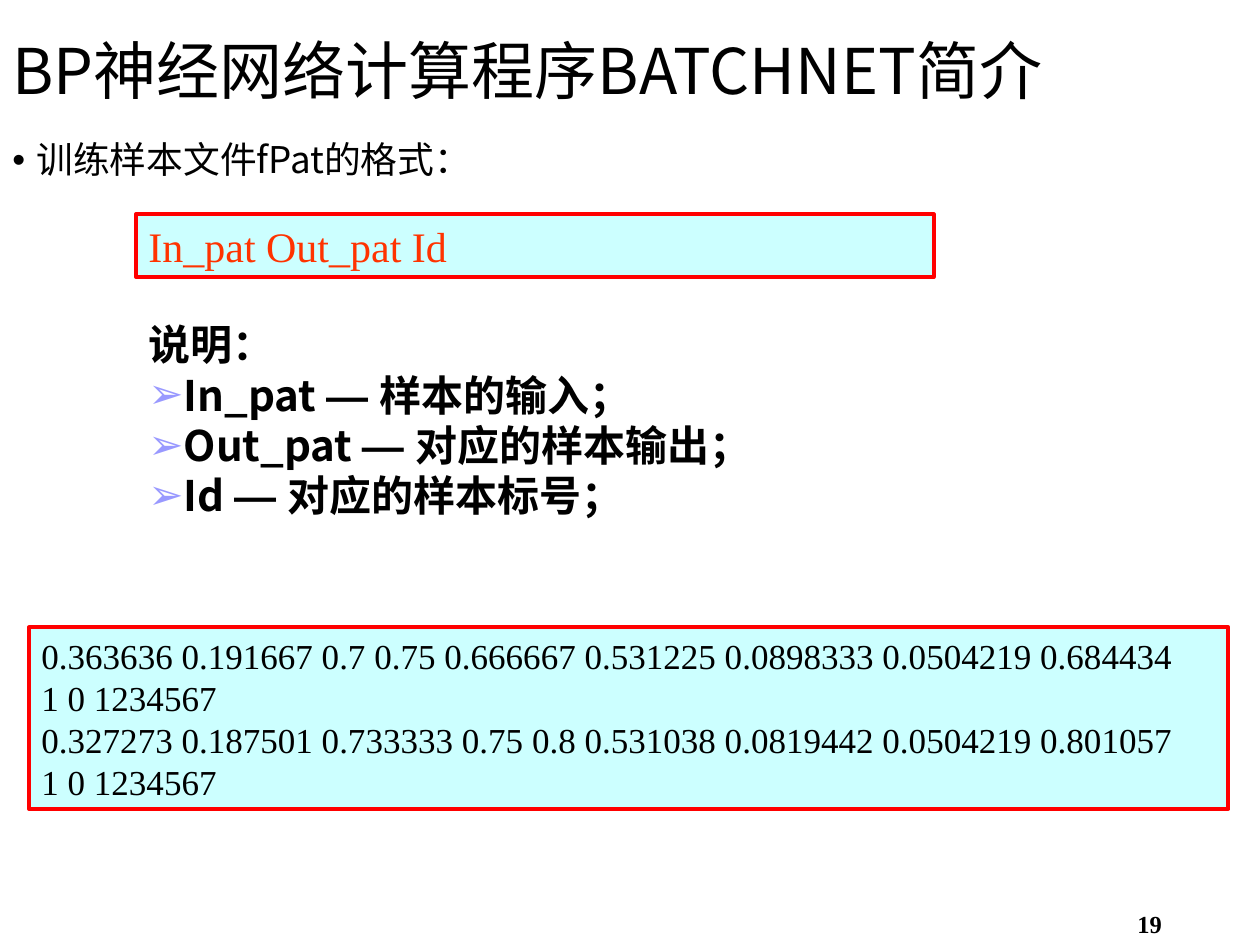
"""Build the slide on the training sample file format of BATCHNET."""
from dataclasses import dataclass

from lxml import etree
from pptx import Presentation
from pptx import util as u
from pptx.dml.color import RGBColor
from pptx.enum import shapes, text
from pptx.oxml.ns import qn


@dataclass(frozen=True)
class Theme:
    """Hold the colours, fonts and type sizes."""
    ink: str = "000000"
    panel: str = "CCFFFF"
    border: str = "FF0000"
    accent: str = "FF3300"
    arrow: str = "9999FF"
    sans: str = "Noto Sans CJK SC"
    serif: str = "Times New Roman"
    dash: str = "Arial"
    title: int = 36
    lead: int = 21
    body: int = 24
    data: int = 20
    number: int = 14


THEME = Theme()
WIDTH, HEIGHT = u.Inches(10), u.Inches(7.5)
COLUMNS, ROWS = 100, 75
FORMAT = "In_pat Out_pat Id"
TERMS = {
    "In_pat": "样本的输入；",
    "Out_pat": "对应的样本输出；",
    "Id": "对应的样本标号；",
}
SAMPLES = [
    "0.363636 0.191667 0.7 0.75 0.666667 0.531225 0.0898333 0.0504219 0.684434",
    "1 0 1234567",
    "0.327273 0.187501 0.733333 0.75 0.8 0.531038 0.0819442 0.0504219 0.801057",
    "1 0 1234567",
]


def place(left, top, width, height):
    """Turn grid columns and rows into slide lengths."""
    column, row = WIDTH / COLUMNS, HEIGHT / ROWS
    return [round(n) for n in (left * column, top * row, width * column, height * row)]


def add_bullet(paragraph, mark, color):
    """Give a paragraph a coloured bullet."""
    properties = paragraph._p.get_or_add_pPr()
    tint = etree.SubElement(properties, qn("a:buClr"))
    etree.SubElement(tint, qn("a:srgbClr"), val=color)
    etree.SubElement(properties, qn("a:buFont"), typeface=THEME.dash)
    etree.SubElement(properties, qn("a:buChar"), char=mark)


def add_run(paragraph, words, font, size, color, bold):
    """Add a run with one font for Latin and East Asian letters."""
    run = paragraph.add_run()
    run.text = words
    run.font.name = font
    run.font.size = u.Pt(size)
    run.font.bold = bold
    run.font.color.rgb = RGBColor.from_string(color)
    etree.SubElement(run.font._element, qn("a:ea"), typeface=font)


def write(shape, lines, *, size, font=THEME.sans, color=THEME.ink, bold=False,
          align=text.PP_ALIGN.LEFT, anchor=text.MSO_ANCHOR.MIDDLE,
          spacing=1.0, hang=0, bullet=None, bullet_color=THEME.ink, plain_lines=0):
    """Write lines, each a string or a list of (words, font) pairs."""
    frame = shape.text_frame
    frame.word_wrap = True
    frame.auto_size = text.MSO_AUTO_SIZE.NONE
    frame.vertical_anchor = anchor
    for index, line in enumerate(lines):
        paragraph = frame.add_paragraph() if index else frame.paragraphs[0]
        paragraph.alignment = align
        paragraph.line_spacing = spacing
        if hang:
            properties = paragraph._p.get_or_add_pPr()
            properties.set("marL", str(u.Inches(hang)))
            properties.set("indent", str(-u.Inches(hang)))
        if bullet and index >= plain_lines:
            add_bullet(paragraph, bullet, bullet_color)
        for words, face in [(line, font)] if isinstance(line, str) else line:
            add_run(paragraph, words, face, size, color, bold)


def add_title(slide, words):
    """Move and fill the title placeholder."""
    title = slide.shapes.title
    title.left, title.top, title.width, title.height = place(0, 1.7, 95.5, 8.3)
    write(title, [words], size=THEME.title, spacing=0.9)


def add_label(slide, area, lines, **style):
    """Add a text box on the grid."""
    write(slide.shapes.add_textbox(*place(*area)), lines, **style)


def add_panel(slide, area, lines, **style):
    """Add a bordered panel with serif text."""
    panel = slide.shapes.add_shape(shapes.MSO_SHAPE.RECTANGLE, *place(*area))
    panel.shadow.inherit = False
    panel.fill.solid()
    panel.fill.fore_color.rgb = RGBColor.from_string(THEME.panel)
    panel.line.color.rgb = RGBColor.from_string(THEME.border)
    panel.line.width = u.Pt(2.25)
    write(panel, lines, font=THEME.serif, **style)


def main():
    """Build and save the slide."""
    deck = Presentation()
    deck.slide_width, deck.slide_height = WIDTH, HEIGHT
    slide = deck.slides.add_slide(deck.slide_layouts.get_by_name("Title Only"))
    add_label(slide, (82.5, 70, 17.5, 5), ["19"], size=THEME.number,
              font=THEME.serif, bold=True, align=text.PP_ALIGN.CENTER,
              anchor=text.MSO_ANCHOR.BOTTOM)
    add_title(slide, "BP神经网络计算程序BATCHNET简介")
    add_label(slide, (0, 10.8, 95.5, 6), ["训练样本文件fPat的格式："],
              size=THEME.lead, anchor=text.MSO_ANCHOR.TOP, spacing=0.9,
              hang=0.19, bullet="•")
    meanings = [[(f"{term} ", THEME.sans), ("— ", THEME.dash), (meaning, THEME.sans)]
                for term, meaning in TERMS.items()]
    add_label(slide, (10.8, 24.8, 78.5, 17), ["说明：", *meanings],
              size=THEME.body, bold=True, hang=0.2, bullet="➢",
              bullet_color=THEME.arrow, plain_lines=1)
    add_panel(slide, (10.8, 17, 63.3, 5), [FORMAT], size=THEME.body, color=THEME.accent)
    add_panel(slide, (2.3, 49.8, 95.2, 14.4), SAMPLES, size=THEME.data)
    deck.save("out.pptx")


if __name__ == "__main__":
    main()
